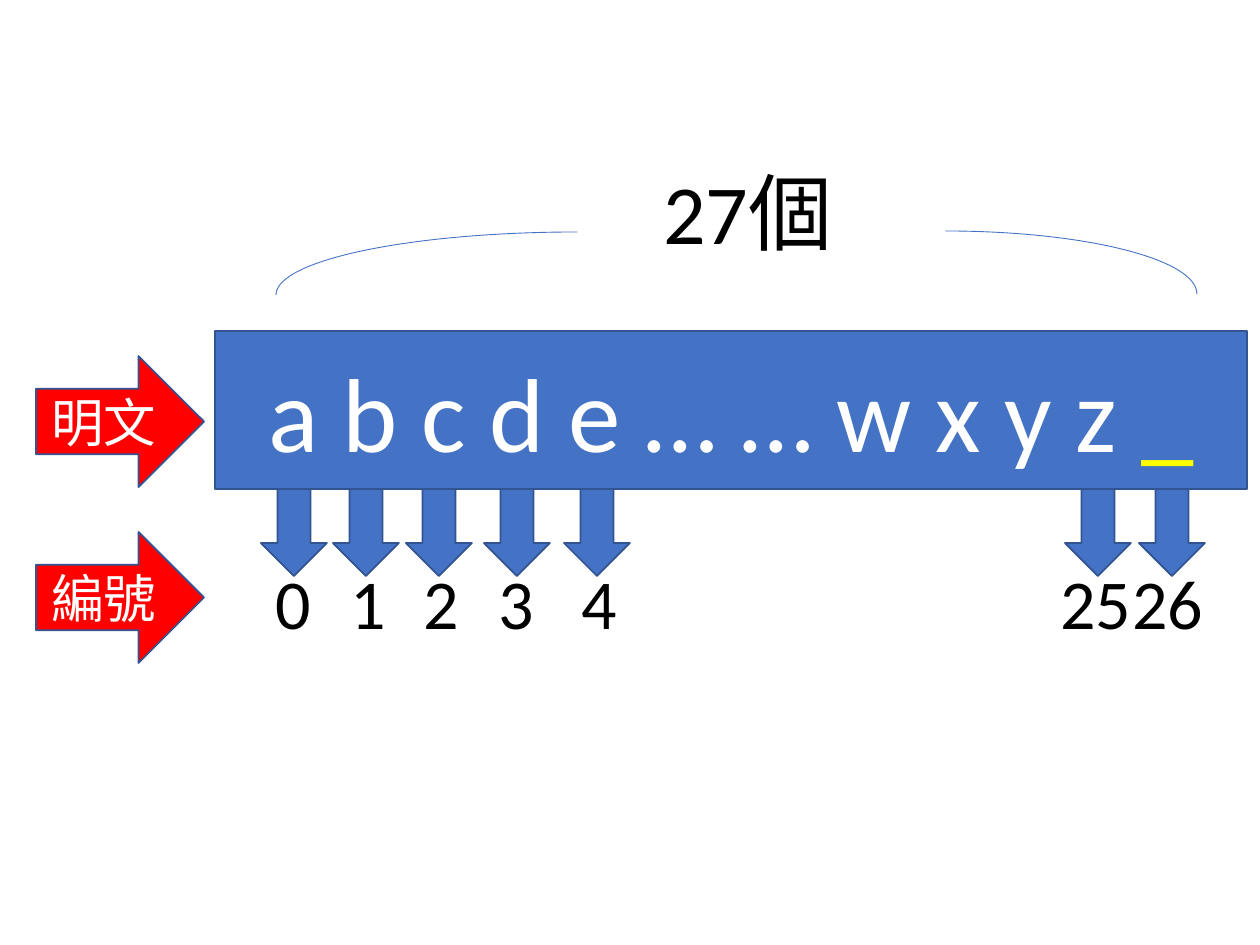
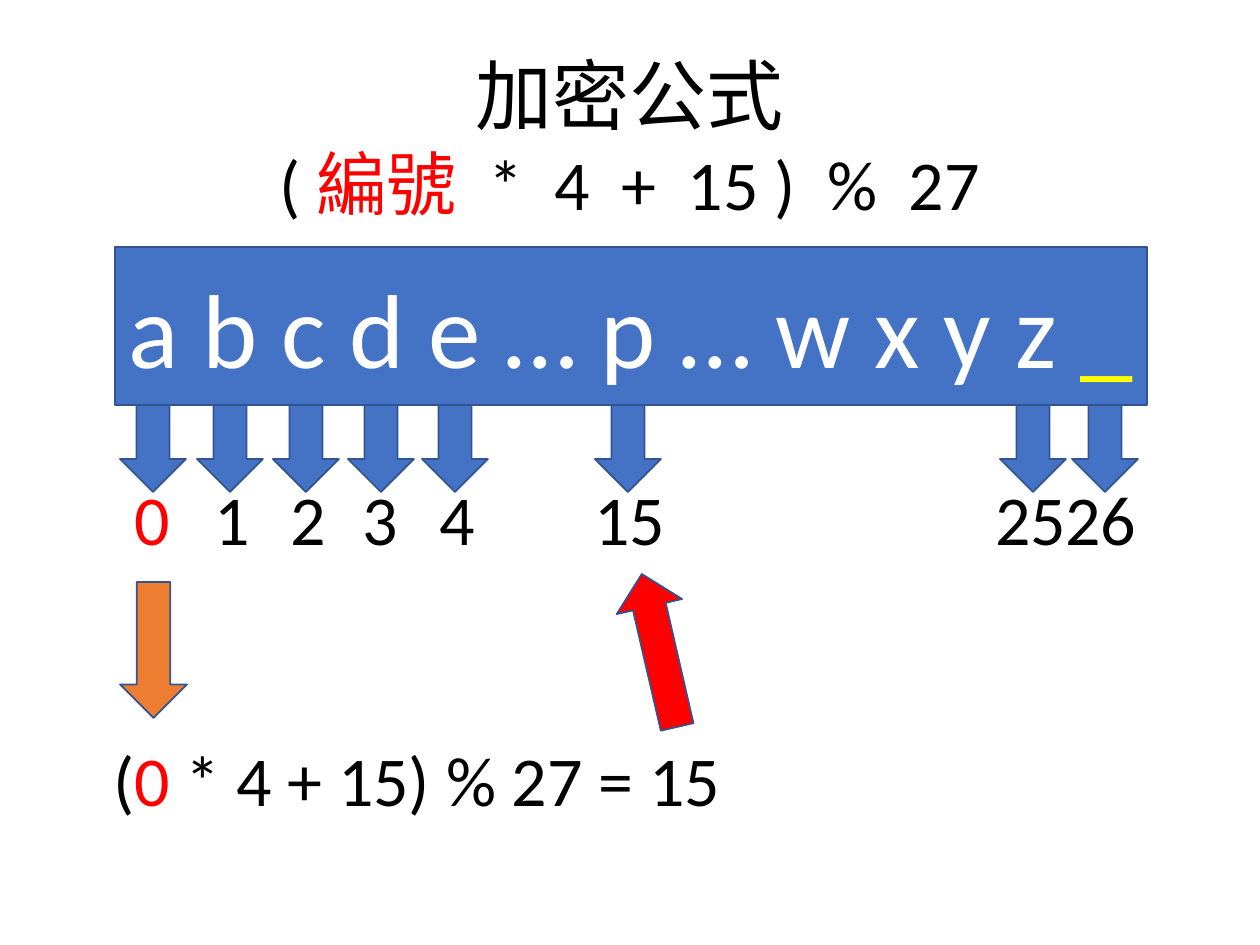
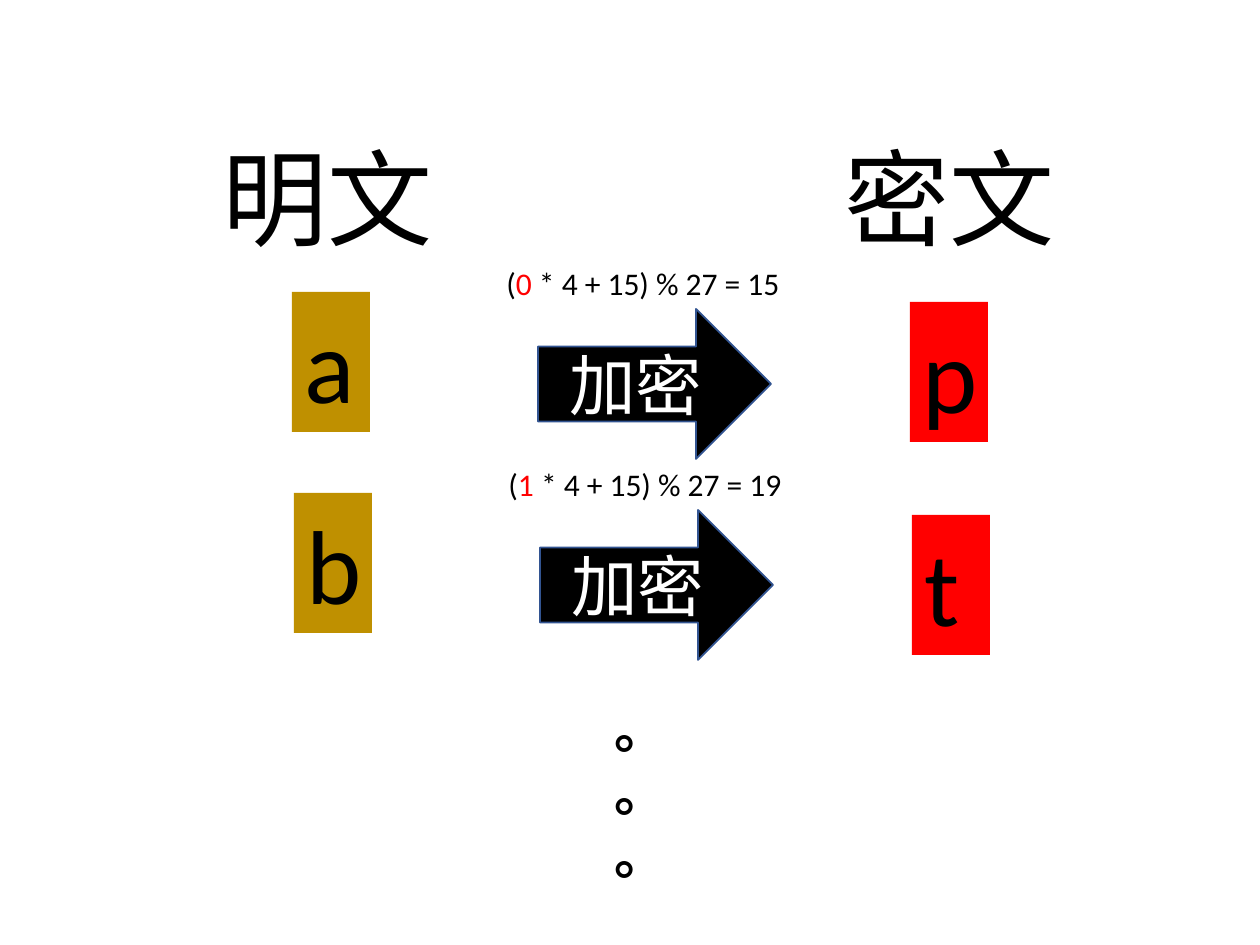
import pptx
import pptx.util
import pptx.dml.color
import pptx.enum.shapes
import pptx.enum.text

EMU_PER_PX = 914400 / 126
FONT = "Calibri"
BLACK, WHITE, RED, YELLOW = "000000", "FFFFFF", "FF0000", "FFFF00"
BLUE, EDGE, ORANGE, GOLD = "4472C4", "325491", "ED7D31", "BF9000"

SHAPE = pptx.enum.shapes.MSO_SHAPE
ALIGN = pptx.enum.text.PP_ALIGN
ANCHOR = pptx.enum.text.MSO_ANCHOR

# Horizontal shift of each number from the left edge of its arrow
LABEL_SHIFT = {0: 2, 1: 5, 2: 5, 3: 2, 4: 5, 15: -13, 25: -17, 26: -19}


def px(n):
    return pptx.util.Emu(round(n * EMU_PER_PX))


def rgb(color):
    return pptx.dml.color.RGBColor.from_string(color)


def write(sp, paragraphs, size, align=ALIGN.LEFT, anchor=ANCHOR.TOP,
          bold=False, spacing=None, before=None):
    """Fill a shape with paragraphs, each a list of (text, colour) runs."""
    tf = sp.text_frame
    tf.word_wrap = True
    tf.vertical_anchor = anchor
    for i, runs in enumerate(paragraphs):
        p = tf.add_paragraph() if i else tf.paragraphs[0]
        p.alignment = align
        if spacing:
            p.line_spacing = spacing
        if before:
            p.space_before = pptx.util.Pt(before)
        for text, color in runs:
            r = p.add_run()
            r.text = text
            r.font.name = FONT
            r.font.size = pptx.util.Pt(size)
            r.font.bold = bold
            r.font.color.rgb = rgb(color)


def add_text(slide, box, paragraphs, size, **style):
    sp = slide.shapes.add_textbox(*map(px, box))
    write(sp, paragraphs, size, **style)
    return sp


def add_shape(slide, kind, box, fill=None, line=EDGE, width=1):
    sp = slide.shapes.add_shape(kind, *map(px, box))
    sp.shadow.inherit = False
    if fill:
        sp.fill.solid()
        sp.fill.fore_color.rgb = rgb(fill)
    else:
        sp.fill.background()
    if line:
        sp.line.color.rgb = rgb(line)
        sp.line.width = pptx.util.Pt(width)
    else:
        sp.line.fill.background()
    return sp


def add_block_arrow(slide, box, fill, text, size):
    sp = add_shape(slide, SHAPE.RIGHT_ARROW, box, fill)
    write(sp, [[(text, WHITE)]], size, ALIGN.CENTER, ANCHOR.MIDDLE)


def formula(number, result):
    return [("(", BLACK), (str(number), RED),
            (f" * 4 + 15) % 27 = {result}", BLACK)]


def add_alphabet(slide, box, letters, arrows, marked=None):
    """Letter band with an arrow down to the number of each listed letter."""
    x, y, _, h = box
    for number, dx in arrows.items():
        label_x = x + dx + LABEL_SHIFT[number]
        label_w = 60 if number < 10 else 101
        color = RED if number == marked else BLACK
        add_text(slide, (label_x, y + h + 64, label_w, 97),
                 [[(str(number), color)]], 40)
        add_shape(slide, SHAPE.DOWN_ARROW, (x + dx, y + h, 66, 87), BLUE)
    band = add_shape(slide, SHAPE.RECTANGLE, box, BLUE)
    write(band, [[(letters + " ", WHITE), ("_", YELLOW)]], 60,
          ALIGN.CENTER, ANCHOR.MIDDLE)


def add_brace(slide, box, text):
    """Two arcs spanning the band, with the count between them."""
    x, y, w, h = box
    right_w, left_w = 503, 603
    add_shape(slide, SHAPE.ARC, (x + w - right_w, y, right_w, h),
              line=BLUE, width=0.5)
    left = add_shape(slide, SHAPE.ARC, (x, y + 1, left_w, h),
                     line=BLUE, width=0.5)
    left._element.spPr.xfrm.set("flipH", "1")
    add_text(slide, (x + 375, y - 77, 378, 115), [[(text, BLACK)]], 48)


def add_letter(slide, x, y, letter, fill):
    sp = add_shape(slide, SHAPE.RECTANGLE, (x, y, 78, 140), fill, line=None)
    write(sp, [[(letter, BLACK)]], 60)


def add_encryption(slide, x, y, plain, cipher, runs, cipher_dy):
    """One row: plain letter, formula over an arrow, cipher letter."""
    add_block_arrow(slide, (x + 246, y + 51, 233, 150), BLACK, "加密", 38)
    add_letter(slide, x + 618, y + cipher_dy, cipher, RED)
    add_text(slide, (x + 202, y, 378, 50), [runs], 18)
    add_letter(slide, x, y + 34, plain, GOLD)


def numbering_slide(slide):
    add_brace(slide, (276, 231, 921, 126), "27個")
    add_alphabet(slide, (215, 331, 1032, 158), "a b c d e … … w x y z",
                 {0: 46, 1: 118, 2: 191, 3: 269, 4: 349, 25: 850, 26: 924})
    for i, name in enumerate(("明文", "編號")):
        add_block_arrow(slide, (36, 356 + 176 * i, 168, 131), RED, name, 30)


def formula_slide(slide):
    # Title and general formula
    add_text(slide, (87, 8, 1086, 183), [[("加密公式", BLACK)]], 44,
             align=ALIGN.CENTER, anchor=ANCHOR.MIDDLE, spacing=0.9)
    add_text(slide, (87, 144, 1086, 600),
             [[("( ", BLACK), ("編號", RED),
               ("  *  4  +  15 )  %  27", BLACK)]], 40,
             align=ALIGN.CENTER, spacing=0.9, before=10)
    add_alphabet(slide, (115, 247, 1032, 158), "a b c d e … p … w x y z",
                 {0: 5, 1: 82, 2: 158, 3: 233, 4: 307, 15: 480,
                  25: 885, 26: 957}, marked=0)
    # Worked example, from 0 down and back up to 15
    add_shape(slide, SHAPE.DOWN_ARROW, (120, 582, 67, 136), ORANGE)
    add_text(slide, (101, 730, 1081, 97), [formula(0, 15)], 40)
    up = add_shape(slide, SHAPE.UP_ARROW, (626, 572, 67, 157), RED)
    up.rotation = 347


def encryption_slide(slide):
    # Column headings
    for box, heading in (((199, 127, 257, 140), "明文"),
                         ((810, 127, 278, 140), "密文")):
        add_text(slide, box, [[(heading, BLACK)]], 60, align=ALIGN.CENTER)
    add_encryption(slide, 292, 258, "a", "p", formula(0, 15), 44)
    add_encryption(slide, 294, 459, "b", "t", formula(1, 19), 56)
    # Continuation dots
    add_text(slide, (602, 690, 73, 204), [[("。", BLACK)]] * 3, 30, bold=True)


def main():
    prs = pptx.Presentation()
    prs.slide_width, prs.slide_height = px(1260), px(945)
    for build in (numbering_slide, formula_slide, encryption_slide):
        build(prs.slides.add_slide(prs.slide_layouts[6]))
    prs.save("out.pptx")


if __name__ == "__main__":
    main()
